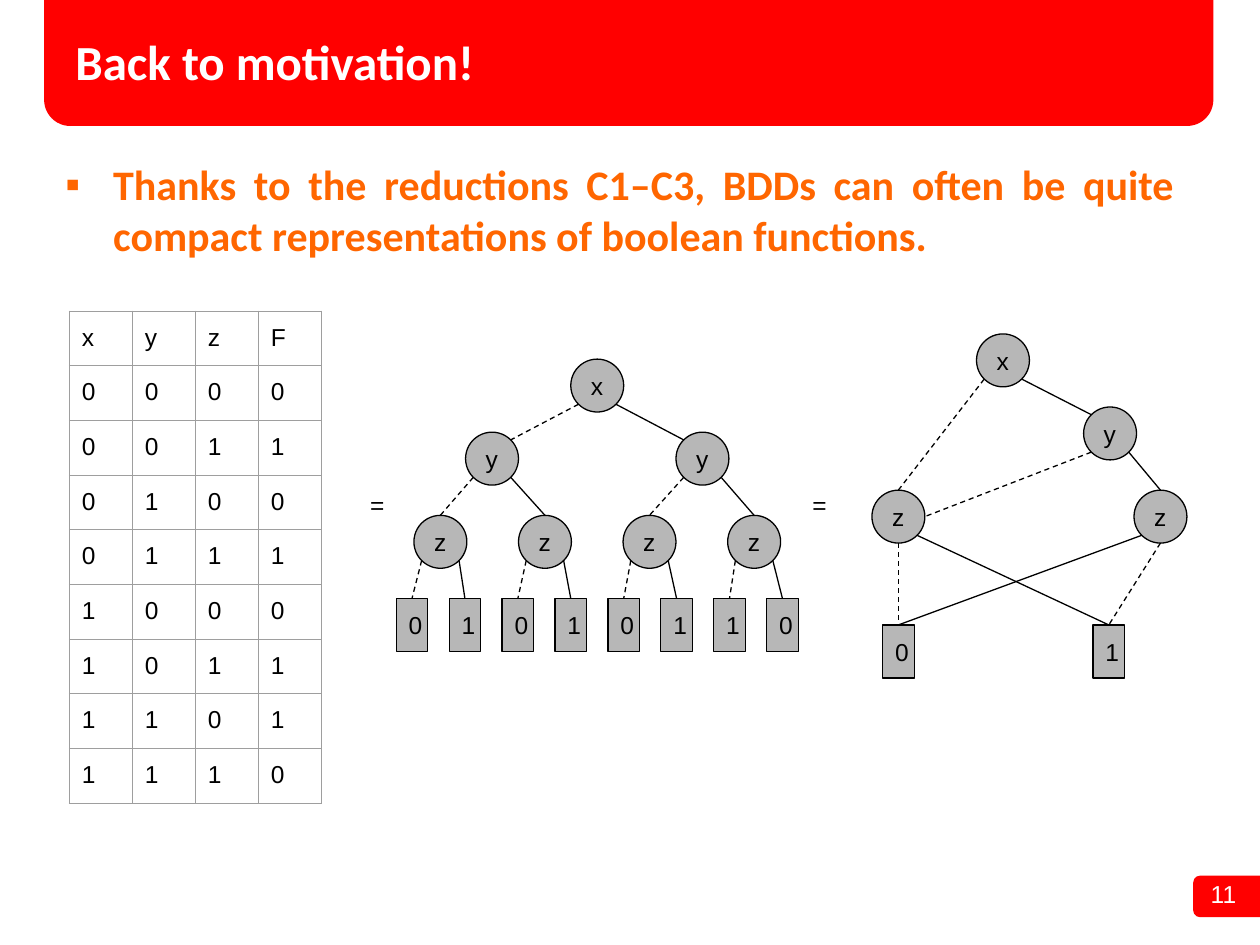
import pptx
import pptx.util
import pptx.dml.color
import pptx.enum.dml
import pptx.enum.shapes
import pptx.enum.text
import pptx.oxml
import pptx.oxml.ns

INCH = pptx.util.Inches
KIND = pptx.enum.shapes.MSO_SHAPE
ALIGN = pptx.enum.text.PP_ALIGN
MID = pptx.enum.text.MSO_ANCHOR.MIDDLE
TOP = pptx.enum.text.MSO_ANCHOR.TOP

# Content
TITLE = "Back to motivation!"
POINT = ("Thanks to the reductions C1–C3, BDDs can often be quite "
         "compact representations of boolean functions.")
PAGE = "11"
TRUTH = ["xyzF", "0000", "0011", "0100", "0111",
         "1000", "1011", "1101", "1110"]
LEAVES = [row[3] for row in TRUTH[1:]]

# Tree levels: labels, top, gap between centres
LEVELS = [("x", 2.85, 0), ("yy", 3.43, 1.67),
          ("zzzz", 4.09, 0.83), (LEAVES, 4.75, 0.42)]
MIDDLE = 4.74

# Reduced diagram: label, centre, top
NODES = {"x": ("x", 7.96, 2.65), "y": ("y", 8.81, 3.23),
         "left": ("z", 7.13, 3.89), "right": ("z", 9.21, 3.89),
         "zero": ("0", 7.13, 4.96), "one": ("1", 8.8, 4.96)}
# From, site, to, site, dashed
EDGES = [("x", "SW", "left", "N", True), ("x", "SE", "y", "NW", False),
         ("y", "SE", "right", "N", False), ("left", "S", "zero", "N", True),
         ("left", "SE", "one", "N", False), ("y", "SW", "left", "E", True),
         ("right", "S", "one", "N", True), ("right", "SW", "zero", "N", False)]

SIZE, LEAF = 0.42, 0.25
RIM, DIAG = SIZE / 2, SIZE / 2 * 0.707
SITES = {"N": (0, -RIM), "S": (0, RIM), "E": (RIM, 0),
         "NW": (-DIAG, -DIAG), "NE": (DIAG, -DIAG),
         "SW": (-DIAG, DIAG), "SE": (DIAG, DIAG)}

deck = pptx.Presentation()
deck.slide_width, deck.slide_height = INCH(10), INCH(7.5)
slide = deck.slides.add_slide(deck.slide_layouts[6])


def rgb(code):
    return pptx.dml.color.RGBColor.from_string(code)


def write(frame, text, size=14, font="Arial", color="000000", bold=False,
          align=ALIGN.LEFT, anchor=TOP, pad=0.1):
    frame.word_wrap = True
    frame.vertical_anchor = anchor
    frame.margin_left = frame.margin_right = INCH(0.1)
    frame.margin_top = frame.margin_bottom = INCH(pad)
    para = frame.paragraphs[0]
    para.alignment = align
    run = para.add_run()
    run.text = text
    run.font.size, run.font.name = pptx.util.Pt(size), font
    run.font.bold, run.font.color.rgb = bold, rgb(color)
    return para


def label(box, text, **style):
    area = slide.shapes.add_textbox(*map(INCH, box))
    return write(area.text_frame, text, **style)


def shape(home, kind, box, fill, line=None):
    part = home.shapes.add_shape(kind, *map(INCH, box))
    part.shadow.inherit = False
    part.fill.solid()
    part.fill.fore_color.rgb = rgb(fill)
    if line:
        part.line.color.rgb = rgb(line)
        part.line.width = pptx.util.Pt(0.75)
    else:
        part.line.fill.background()
    return part


def node(home, text, mid, top):
    leaf = text in "01"
    wide = LEAF if leaf else SIZE
    kind = KIND.FLOWCHART_PROCESS if leaf else KIND.FLOWCHART_CONNECTOR
    part = shape(home, kind, (mid - wide / 2, top, wide, SIZE),
                 "B7B7B7", "000000")
    write(part.text_frame, text, anchor=MID)


def edge(home, start, out, end, into, dashed):
    spots = []
    for (_, mid, top), site in ((start, out), (end, into)):
        dx, dy = SITES[site]
        spots += [INCH(mid + dx), INCH(top + RIM + dy)]
    line = home.shapes.add_connector(
        pptx.enum.shapes.MSO_CONNECTOR.STRAIGHT, *spots)
    line.line.color.rgb = rgb("000000")
    line.line.width = pptx.util.Pt(0.75)
    if dashed:
        line.line.dash_style = pptx.enum.dml.MSO_LINE.DASH
    props = line._element.spPr
    props.append(props.makeelement(pptx.oxml.ns.qn("a:effectLst"), {}))


# Banner, page tab and headings
for box in ((9.47, 6.95, 0.7, 0.33), (0.35, -0.25, 9.28, 1.25)):
    shape(slide, KIND.ROUNDED_RECTANGLE, box, "FF0000")
label((9.08, 6.93, 0.83, 0.34), PAGE, color="FFFFFF",
      align=ALIGN.RIGHT, pad=0.05)
label((0.5, 0.28, 8.95, 0.4), TITLE, size=28, font="Calibri",
      color="FFFFFF", bold=True, anchor=MID, pad=0.05)

# Bulleted point
para = label((0.42, 1.21, 9, 0.91), POINT, size=24, font="Calibri",
             color="FF6600", bold=True, align=ALIGN.JUSTIFY, pad=0.05)
props = para._p.get_or_add_pPr()
props.set("marL", str(INCH(0.38)))
props.set("indent", str(-INCH(0.38)))
NS = pptx.oxml.ns.nsdecls("a")
for xml in (f'<a:buClr {NS}><a:srgbClr val="FF6600"/></a:buClr>',
            f'<a:buFont {NS} typeface="Arial"/>',
            f'<a:buChar {NS} char="▪"/>'):
    props.append(pptx.oxml.parse_xml(xml))

# Full decision tree
tree = slide.shapes.add_group_shape()
ranks = [[(text, MIDDLE + gap * (i - (len(row) - 1) / 2), top)
          for i, text in enumerate(row)] for row, top, gap in LEVELS]
for rank in ranks:
    for item in rank:
        node(tree, *item)
for depth, rank in enumerate(ranks[1:]):
    for i, item in enumerate(rank):
        low = i % 2 == 0
        into = ("NE" if low else "NW") if depth == 0 else "N"
        edge(tree, ranks[depth][i // 2], "SW" if low else "SE",
             item, into, low)

# Truth table
grid = slide.shapes.add_table(len(TRUTH), 4, INCH(0.55), INCH(2.47),
                              INCH(2), INCH(0.35 * len(TRUTH))).table
grid.first_row = grid.horz_banding = False
for r, row in enumerate(TRUTH):
    for c, text in enumerate(row):
        cell = grid.cell(r, c)
        write(cell.text_frame, text)
        cell.margin_left = cell.margin_right = INCH(0.1)
        cell.margin_top = cell.margin_bottom = INCH(0.1)
        cell.vertical_anchor = TOP
        props = cell._tc.get_or_add_tcPr()
        for side in "LRTB":
            props.append(pptx.oxml.parse_xml(
                f'<a:ln{side} {NS} w="9525"><a:solidFill>'
                f'<a:srgbClr val="9E9E9E"/></a:solidFill></a:ln{side}>'))
        cell.fill.background()

# Reduced diagram
graph = slide.shapes.add_group_shape()
for item in NODES.values():
    node(graph, *item)
for start, out, end, into, dashed in EDGES:
    edge(graph, NODES[start], out, NODES[end], into, dashed)

# Equals signs
for left in (2.84, 6.35):
    label((left, 3.79, 0.83, 0.3), "=")

deck.save("out.pptx")
